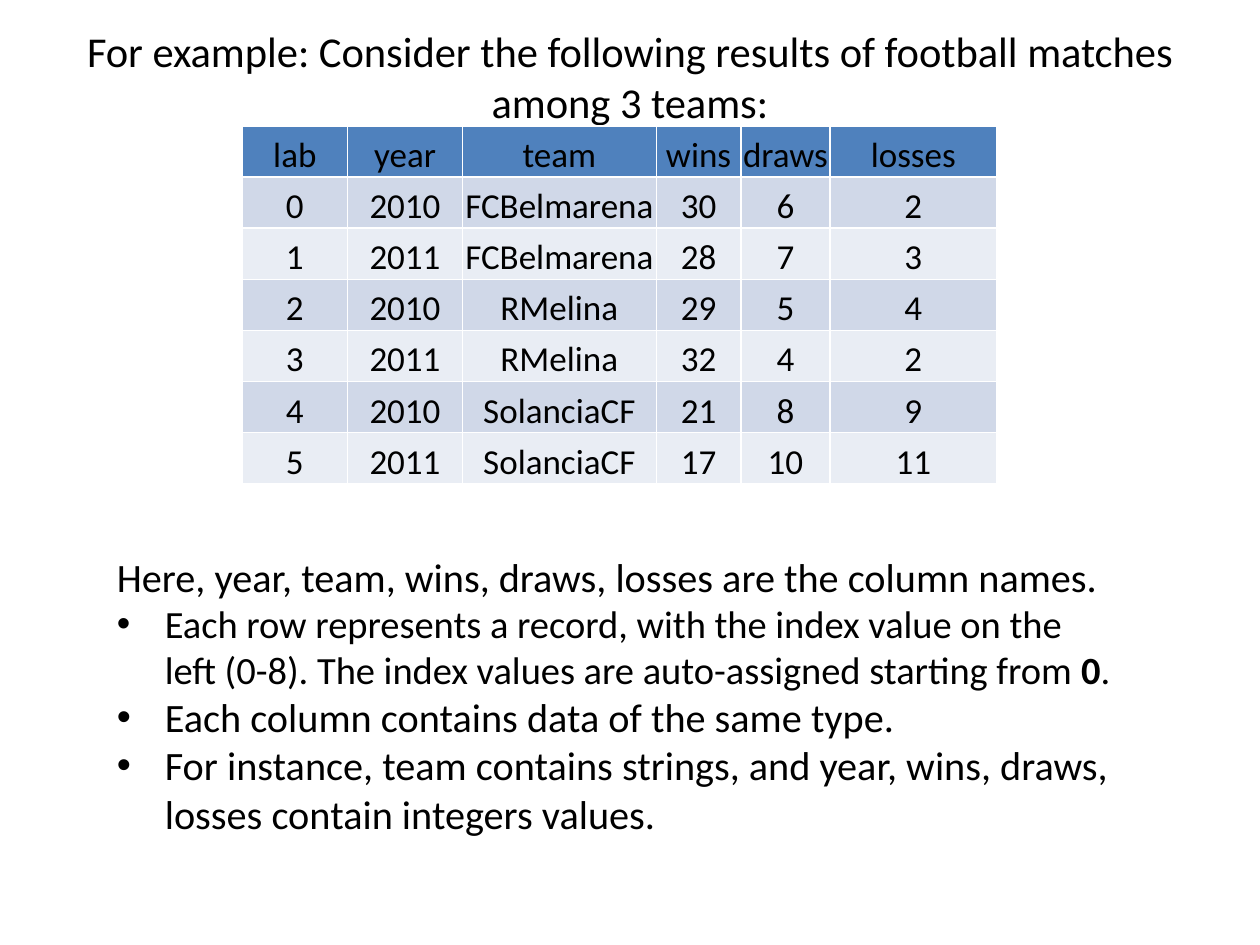
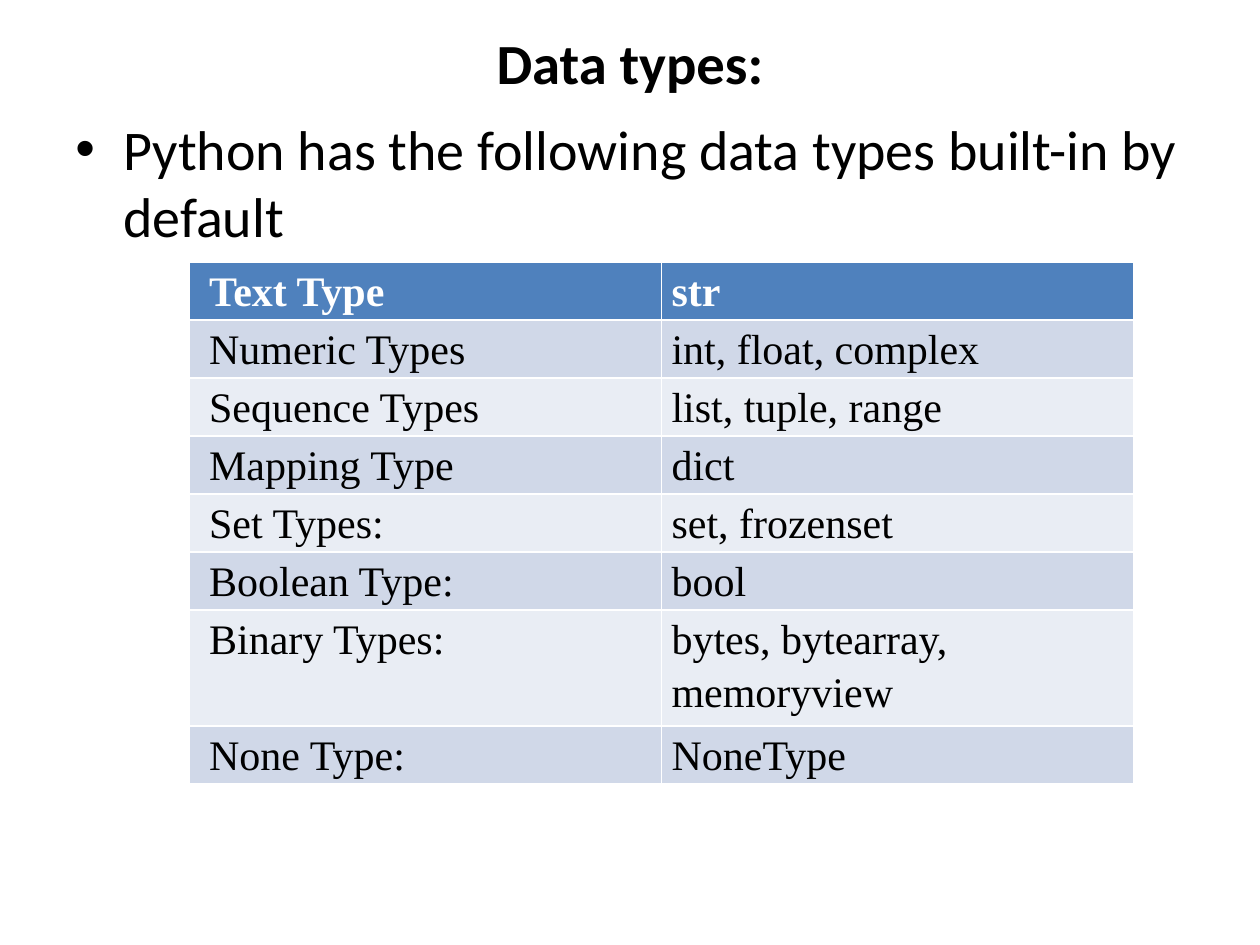
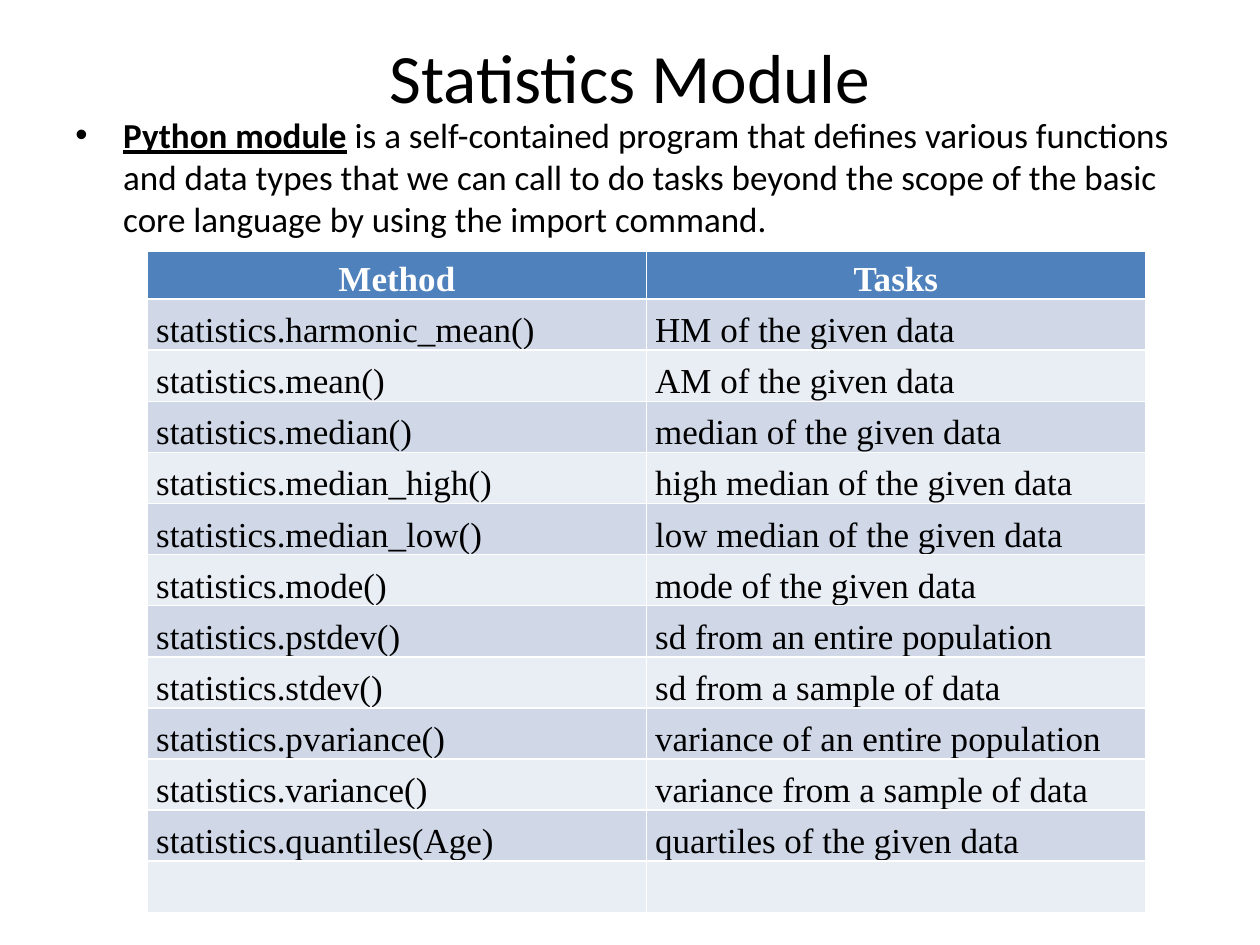
from pptx import Presentation
from pptx.dml.color import RGBColor
from pptx.enum.text import MSO_ANCHOR, PP_ALIGN
from pptx.oxml.ns import qn
from pptx.util import Inches, Pt
from lxml import etree

BLACK = RGBColor(0x00, 0x00, 0x00)
WHITE = RGBColor(0xFF, 0xFF, 0xFF)
HEADER_BLUE = RGBColor(0x4F, 0x81, 0xBD)
BANDS = (RGBColor(0xD0, 0xD8, 0xE8), RGBColor(0xE9, 0xED, 0xF4))
LEFT, CENTER = PP_ALIGN.LEFT, PP_ALIGN.CENTER
TOP, BOTTOM = MSO_ANCHOR.TOP, MSO_ANCHOR.BOTTOM
SANS, SERIF = "Calibri", "Times New Roman"
HANGING_INDENT = 0.38
BODY_AREA = (0.5, 0.83, 9, 5.87)

# A paragraph is (size, has bullet, runs); a run is (text, bold, underlined).
SLIDES = [
    {
        "title": ("For example: Consider the following results of football "
                  "matches among 3 teams:", 24.3, False),
        "title_area": (0.5, 0.2, 9, 0.82),
        "body_area": (0.83, 4.33, 8.17, 2.39),
        "body_inset": 0.05,
        "body": [
            (23, False, [("Here, year, team, wins, draws, losses are the column names.", False, False)]),
            (22, True, [
                ("Each row represents a record, with the index value on the left (0-8). "
                 "The index values are auto-assigned starting from ", False, False),
                ("0", True, False),
                (".", False, False)]),
            (23, True, [("Each column contains data of the same type.", False, False)]),
            (23, True, [("For instance, team contains strings, and year, wins, draws, "
                         "losses contain integers values.", False, False)]),
        ],
        "table": {
            "corner": (1.92, 1),
            "columns": [0.84, 0.91, 1.54, 0.67, 0.71, 1.32],
            "heights": [2.84 / 7] * 7,
            "left_insets": [0.01] * 6, "right_inset": 0.01, "top_inset": 0.01,
            "font": SANS, "size": 20, "spacing": 1, "anchor": BOTTOM,
            "header": (BLACK, False, CENTER), "align": CENTER,
            "rows": [
                ("lab", "year", "team", "wins", "draws", "losses"),
                ("0", "2010", "FCBelmarena", "30", "6", "2"),
                ("1", "2011", "FCBelmarena", "28", "7", "3"),
                ("2", "2010", "RMelina", "29", "5", "4"),
                ("3", "2011", "RMelina", "32", "4", "2"),
                ("4", "2010", "SolanciaCF", "21", "8", "9"),
                ("5", "2011", "SolanciaCF", "17", "10", "11"),
            ],
        },
    },
    {
        "title": ("Data types:", 32.4, True),
        "title_area": (0.5, 0.22, 9, 0.55),
        "body_area": BODY_AREA,
        "body_inset": 0.08,
        "body": [
            (32, True, [("Python has the following data types built-in by default", False, False)]),
        ],
        "table": {
            "corner": (1.5, 2.08),
            "columns": [3.75, 3.75],
            "heights": [0.42] * 6 + [0.85, 0.42],
            "left_insets": [0.16, 0.08], "right_inset": 0, "top_inset": 0,
            "font": SERIF, "size": 24, "spacing": 1.15, "anchor": TOP,
            "header": (WHITE, True, LEFT), "align": LEFT,
            "rows": [
                ("Text Type", "str"),
                ("Numeric Types", "int, float, complex"),
                ("Sequence Types", "list, tuple, range"),
                ("Mapping Type", "dict"),
                ("Set Types:", "set, frozenset"),
                ("Boolean Type:", "bool"),
                ("Binary Types:", "bytes, bytearray, memoryview"),
                ("None Type:", "NoneType"),
            ],
        },
    },
    {
        "title": ("Statistics Module", 39.6, False),
        "title_area": (0.5, 0.27, 9, 0.67),
        "body_area": BODY_AREA,
        "body_inset": 0.07,
        "body": [
            (20, True, [
                ("Python module", True, True),
                (" is a self-contained program that defines various functions and data "
                 "types that we can call to do tasks beyond the scope of the basic core "
                 "language by using the import command.", False, False)]),
        ],
        "table": {
            "corner": (1.17, 1.99),
            "columns": [3.96, 3.96],
            "heights": [0.35] + [4.87 / 12] * 12,
            "left_insets": [0.07, 0.07], "right_inset": 0.07, "top_inset": 0,
            "font": SERIF, "size": 20, "spacing": 1.15, "anchor": BOTTOM,
            "header": (WHITE, True, CENTER), "align": LEFT,
            "rows": [
                ("Method", "Tasks"),
                ("statistics.harmonic_mean()", "HM of the given data"),
                ("statistics.mean()", "AM of the given data"),
                ("statistics.median()", "median of the given data"),
                ("statistics.median_high()", "high median of the given data"),
                ("statistics.median_low()", "low median of the given data"),
                ("statistics.mode()", "mode of the given data"),
                ("statistics.pstdev()", "sd from an entire population"),
                ("statistics.stdev()", "sd from a sample of data"),
                ("statistics.pvariance()", "variance of an entire population"),
                ("statistics.variance()", "variance from a sample of data"),
                ("statistics.quantiles(Age)", "quartiles of the given data"),
                ("", ""),
            ],
        },
    },
]


def add_run(para, text, size, font=SANS, color=BLACK, bold=False, underlined=False):
    span = para.add_run()
    span.text = text
    span.font.name = font
    span.font.size = Pt(size)
    span.font.bold = bold
    span.font.underline = underlined
    span.font.color.rgb = color


def add_box(page, area, top_inset):
    box = page.shapes.add_textbox(*(Inches(length) for length in area))
    frame = box.text_frame
    frame.word_wrap = True
    frame.vertical_anchor = TOP
    frame.margin_top = Inches(top_inset)
    return frame


def add_bullet(para):
    properties = para._p.get_or_add_pPr()
    properties.set("marL", str(Inches(HANGING_INDENT)))
    properties.set("indent", str(-Inches(HANGING_INDENT)))
    etree.SubElement(properties, qn("a:buFont")).set("typeface", "Arial")
    etree.SubElement(properties, qn("a:buChar")).set("char", "•")


def add_title(page, area, text, size, bold):
    para = add_box(page, area, 0).paragraphs[0]
    para.alignment = CENTER
    add_run(para, text, size, bold=bold)


def add_body(page, area, top_inset, paragraphs):
    frame = add_box(page, area, top_inset)
    for index, (size, has_bullet, runs) in enumerate(paragraphs):
        para = frame.add_paragraph() if index else frame.paragraphs[0]
        if has_bullet:
            add_bullet(para)
        for text, bold, underlined in runs:
            add_run(para, text, size, bold=bold, underlined=underlined)


def fill_cell(cell, text, row_index, column_index, look):
    is_header = row_index == 0
    color, bold, align = look["header"] if is_header else (BLACK, False, look["align"])
    cell.fill.solid()
    cell.fill.fore_color.rgb = HEADER_BLUE if is_header else BANDS[(row_index - 1) % 2]
    cell.vertical_anchor = look["anchor"]
    cell.margin_left = Inches(look["left_insets"][column_index])
    cell.margin_right = Inches(look["right_inset"])
    cell.margin_top = Inches(look["top_inset"])
    cell.margin_bottom = 0
    if text:
        para = cell.text_frame.paragraphs[0]
        para.alignment = align
        para.line_spacing = look["spacing"]
        add_run(para, text, look["size"], look["font"], color, bold)


def add_data_table(page, look):
    """The default table style supplies the white grid and thick header rule."""
    rows, columns, heights = look["rows"], look["columns"], look["heights"]
    left, top = look["corner"]
    table = page.shapes.add_table(
        len(rows), len(columns), Inches(left), Inches(top),
        Inches(sum(columns)), Inches(sum(heights))).table
    for column, width in zip(table.columns, columns):
        column.width = Inches(width)
    for row_index, (texts, height) in enumerate(zip(rows, heights)):
        table.rows[row_index].height = Inches(height)
        for column_index, text in enumerate(texts):
            fill_cell(table.cell(row_index, column_index), text, row_index, column_index, look)


def main():
    deck = Presentation()
    deck.slide_width, deck.slide_height = Inches(10), Inches(7.5)
    for content in SLIDES:
        page = deck.slides.add_slide(deck.slide_layouts[6])
        add_title(page, content["title_area"], *content["title"])
        add_body(page, content["body_area"], content["body_inset"], content["body"])
        add_data_table(page, content["table"])
    deck.save("out.pptx")


if __name__ == "__main__":
    main()
